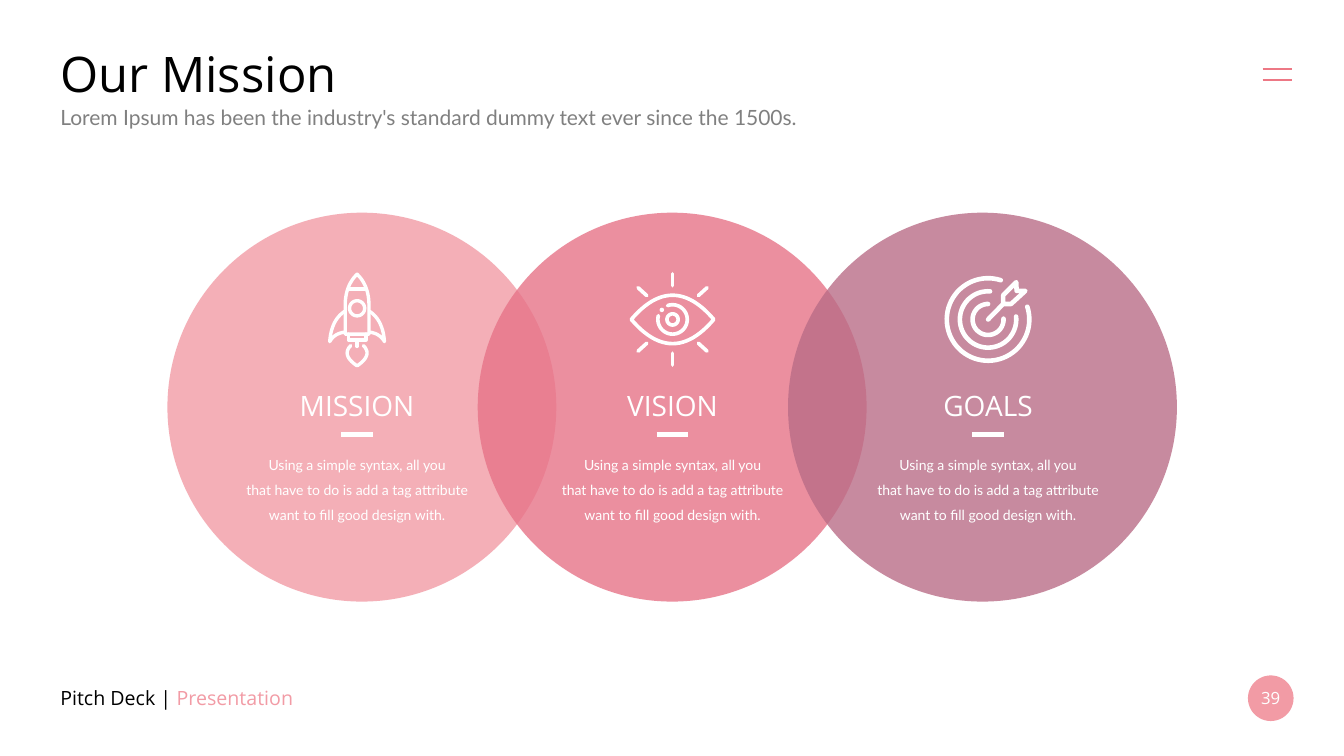
"""Build the mission slide: three overlapping circles with icons and text."""
from dataclasses import dataclass
from math import cos, radians, sin

from lxml import etree
from pptx import Presentation
from pptx.dml.color import RGBColor
from pptx.enum import shapes, text
from pptx.oxml.ns import qn
from pptx.util import Cm, Pt


@dataclass(frozen=True)
class Theme:
    """Colours, fonts and type sizes."""
    black: str = "000000"
    white: str = "FFFFFF"
    grey: str = "808080"
    pink: str = "F29BA5"
    rose: str = "E77388"
    plum: str = "BA6D87"
    menu: str = "ED7885"
    head: str = "Open Sans"
    body: str = "Lato"
    title: int = 35
    lead: int = 15
    foot: int = 14
    page: int = 12
    name: int = 20
    note: int = 10


T = Theme()
LEFT, MID = text.PP_ALIGN.LEFT, text.PP_ALIGN.CENTER
TOP, CORE = text.MSO_ANCHOR.TOP, text.MSO_ANCHOR.MIDDLE
NOTE = ("Using a simple syntax, all you",
        "that have to do is add a tag attribute want to fill good design with.")


def rgb(code):
    """Turn a hex code into a colour."""
    return RGBColor.from_string(code)


def style(par, face, size, color, align=LEFT):
    """Format a whole paragraph."""
    par.font.name, par.font.size = face, Pt(size)
    par.font.color.rgb = rgb(color)
    par.alignment = align


def place(shape, left, top, width, height):
    """Move and size a shape, in centimetres."""
    shape.left, shape.top = Cm(left), Cm(top)
    shape.width, shape.height = Cm(width), Cm(height)


def label(slide, box, lines, look, anchor=CORE, pitch=None):
    """Add a wrapped text box and return its last paragraph."""
    frame = slide.shapes.add_textbox(*map(Cm, box)).text_frame
    frame.word_wrap, frame.vertical_anchor = True, anchor
    frame.text = "\n".join(lines)
    for par in frame.paragraphs:
        style(par, *look)
        if pitch:
            par.line_spacing = Pt(pitch)
    return par


def disc(slide, left, top, size, color, alpha=None):
    """Add a plain circle, with an optional opacity in percent."""
    shape = slide.shapes.add_shape(shapes.MSO_SHAPE.OVAL, Cm(left), Cm(top),
                                   Cm(size), Cm(size))
    shape.shadow.inherit = False
    shape.line.fill.background()
    shape.fill.solid()
    shape.fill.fore_color.rgb = rgb(color)
    if alpha:
        tint = next(shape.element.spPr.iter(qn("a:srgbClr")))
        etree.SubElement(tint, qn("a:alpha"), val=str(alpha * 1000))


def rule(slide, left, top, width, color, weight):
    """Add a level line."""
    line = slide.shapes.add_connector(shapes.MSO_CONNECTOR.STRAIGHT, Cm(left),
                                      Cm(top), Cm(left + width), Cm(top))
    line.line.color.rgb, line.line.width = rgb(color), Pt(weight)
    etree.SubElement(line.element.spPr, qn("a:effectLst"))


def arc(x, y, size, start=0, end=360):
    """List the points of an arc, in degrees clockwise."""
    turns = [radians(start + (end - start) * i / 60) for i in range(61)]
    return [(x + size * cos(a), y + size * sin(a)) for a in turns]


def bend(a, b, c):
    """List the points of a curve from a to c, drawn towards b."""
    steps = [i / 24 for i in range(25)]
    return [tuple((1 - t) ** 2 * p + 2 * t * (1 - t) * q + t * t * r
                  for p, q, r in zip(a, b, c)) for t in steps]


def flip(points, x=-1, y=1):
    """Mirror points about the icon centre."""
    return [(x * px, y * py) for px, py in points]


def rocket():
    """List the strokes of the rocket."""
    side = bend((0, -1.14), (.3, -.85), (.3, -.35)) + [(.3, .37)]
    fin = (bend((.32, -.2), (.65, .02), (.69, .56))
           + bend((.69, .56), (.58, .36), (.32, .32)))
    flame = bend((.16, .66), (.4, .9), (0, 1.17))
    nozzle = [(-.22, .37), (-.22, .52), (.22, .52), (.22, .37)]
    return [side + flip(side)[::-1], fin, flip(fin),
            flame + flip(flame)[::-1], nozzle, [(0, .52), (0, .68)],
            [(-.2, -.77), (.2, -.77)], arc(0, -.28, .19)]


def eye():
    """List the strokes of the eye and its rays."""
    lid = bend((-1.04, 0), (0, -1.22), (1.04, 0))
    ray, slant = [(0, -1.15), (0, -.85)], [(.65, -.6), (.87, -.8)]
    rays = [flip(slant, x, y) for x in (1, -1) for y in (1, -1)]
    return [lid + flip(lid, 1, -1)[::-1], ray, flip(ray, 1, -1), *rays,
            arc(0, 0, .37, -110, 195), arc(0, 0, .14), arc(-.27, -.24, .01)]


def target():
    """List the strokes of the target and its dart."""
    dart = [(0, 0), (.38, -.39), (.38, -.61), (.71, -.94), (.72, -.72),
            (.94, -.72), (.58, -.39), (.38, -.39)]
    return [arc(0, 0, 1.04, -18, 288), arc(0, 0, .71, -6, 274),
            arc(0, 0, .39, -3, 270), dart]


def icon(slide, x, y, strokes, weight):
    """Draw strokes as one white outline around a centre."""
    unit = 1000
    pen = slide.shapes.build_freeform(scale=Cm(1) / unit)
    for i, stroke in enumerate(strokes):
        first, *rest = [(px * unit, py * unit) for px, py in stroke]
        if i == 0:
            pen = slide.shapes.build_freeform(*map(round, first),
                                              scale=Cm(1) / unit)
        else:
            pen.move_to(*first)
        pen.add_line_segments(rest, close=False)
    shape = pen.convert_to_shape(Cm(x), Cm(y))
    shape.shadow.inherit = False
    shape.fill.background()
    shape.line.color.rgb, shape.line.width = rgb(T.white), Pt(weight)
    line = shape.element.spPr.find(qn("a:ln"))
    line.set("cap", "rnd")
    etree.SubElement(line, qn("a:round"))


def column(slide, i, name, color, strokes, weight):
    """Add one circle with its icon, name, rule and note."""
    axis = 9 + 7.95 * i
    disc(slide, 4.22 + 7.82 * i, 5.36, 9.8, color, 80)
    icon(slide, axis, 8.05, strokes, weight)
    left, width = axis - 3.08, 6.16
    label(slide, (left, 9.65, width, 1.12), [name],
          (T.head, T.name, T.white, MID))
    label(slide, (left, 11.18, width, 2.11), NOTE,
          (T.body, T.note, T.white, MID), pitch=18)
    rule(slide, axis - .4, 10.95, .8, T.white, 3)


def header(slide):
    """Fill the title, the lead line and the menu mark."""
    title = slide.shapes.title
    place(title, 1.27, .99, 31.32, 1.68)
    frame = title.text_frame
    frame.text = "Our Mission"
    frame.auto_size = text.MSO_AUTO_SIZE.NONE
    frame.vertical_anchor = CORE
    style(frame.paragraphs[0], T.head, T.title, T.black)
    label(slide, (1.27, 2.51, 31.32, .89),
          ["Lorem Ipsum has been the industry's standard dummy text "
           "ever since the 1500s."], (T.body, T.lead, T.grey), TOP)
    for top in (1.73, 2.01):
        rule(slide, 31.82, top, .75, T.menu, 1.5)


def footer(slide):
    """Add the deck name and the page number."""
    par = label(slide, (1.27, 17.07, 8.36, 1.02), ["Pitch Deck | "],
                (T.head, T.foot, T.black))
    run = par.add_run()
    run.text = "Presentation"
    run.font.color.rgb = rgb(T.pink)
    disc(slide, 31.45, 17.02, 1.15, T.pink)
    label(slide, (31.34, 17.3, 1.37, .56), ["39"],
          (T.head, T.page, T.white, MID))


def main():
    """Build and save the slide."""
    deck = Presentation()
    deck.slide_width, deck.slide_height = Cm(33.87), Cm(19.05)
    slide = deck.slides.add_slide(deck.slide_layouts[5])
    header(slide)
    items = (("MISSION", T.pink, rocket(), 2.4),
             ("VISION", T.rose, eye(), 2.6),
             ("GOALS", T.plum, target(), 3.3))
    for i, item in enumerate(items):
        column(slide, i, *item)
    footer(slide)
    deck.save("out.pptx")


if __name__ == "__main__":
    main()
